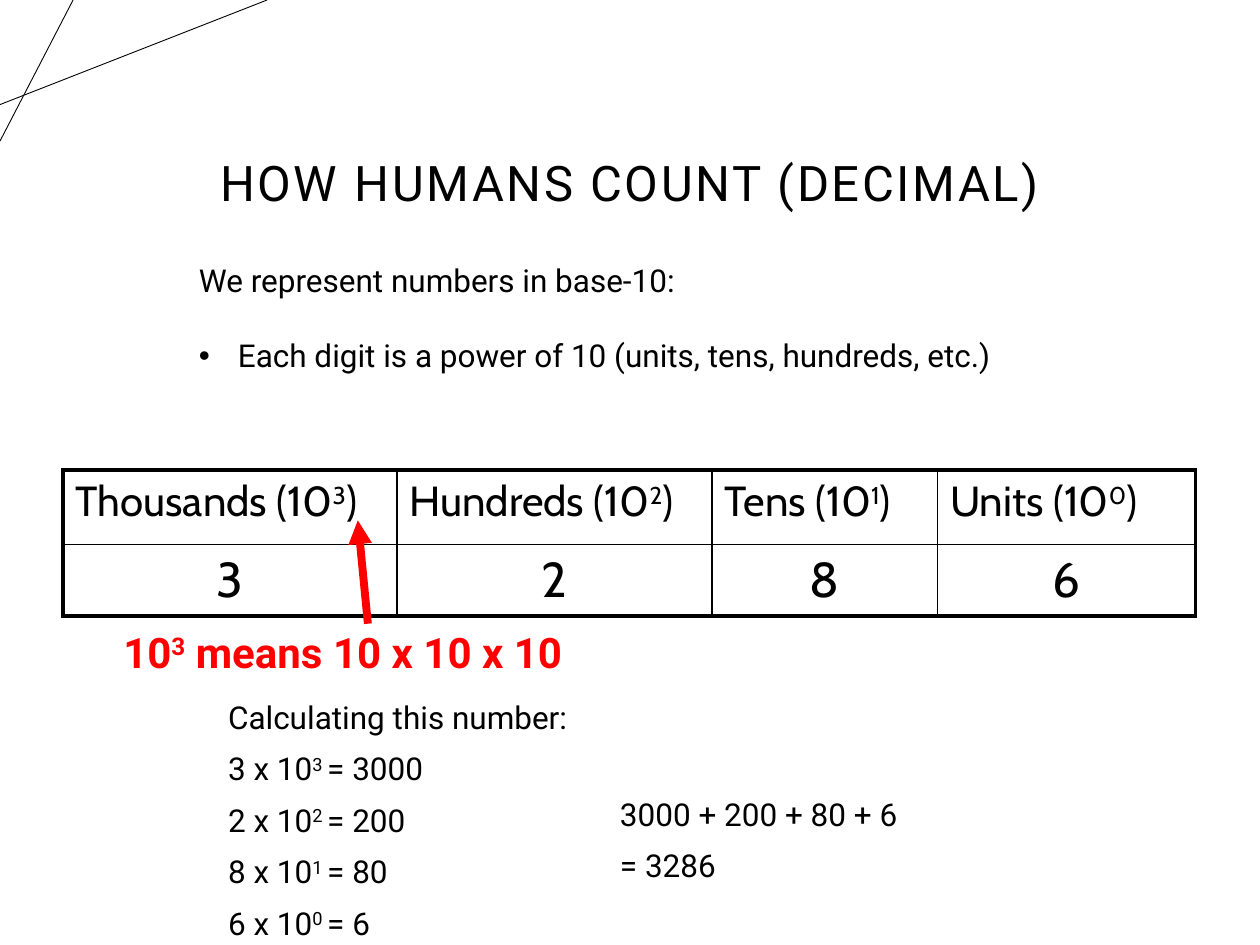
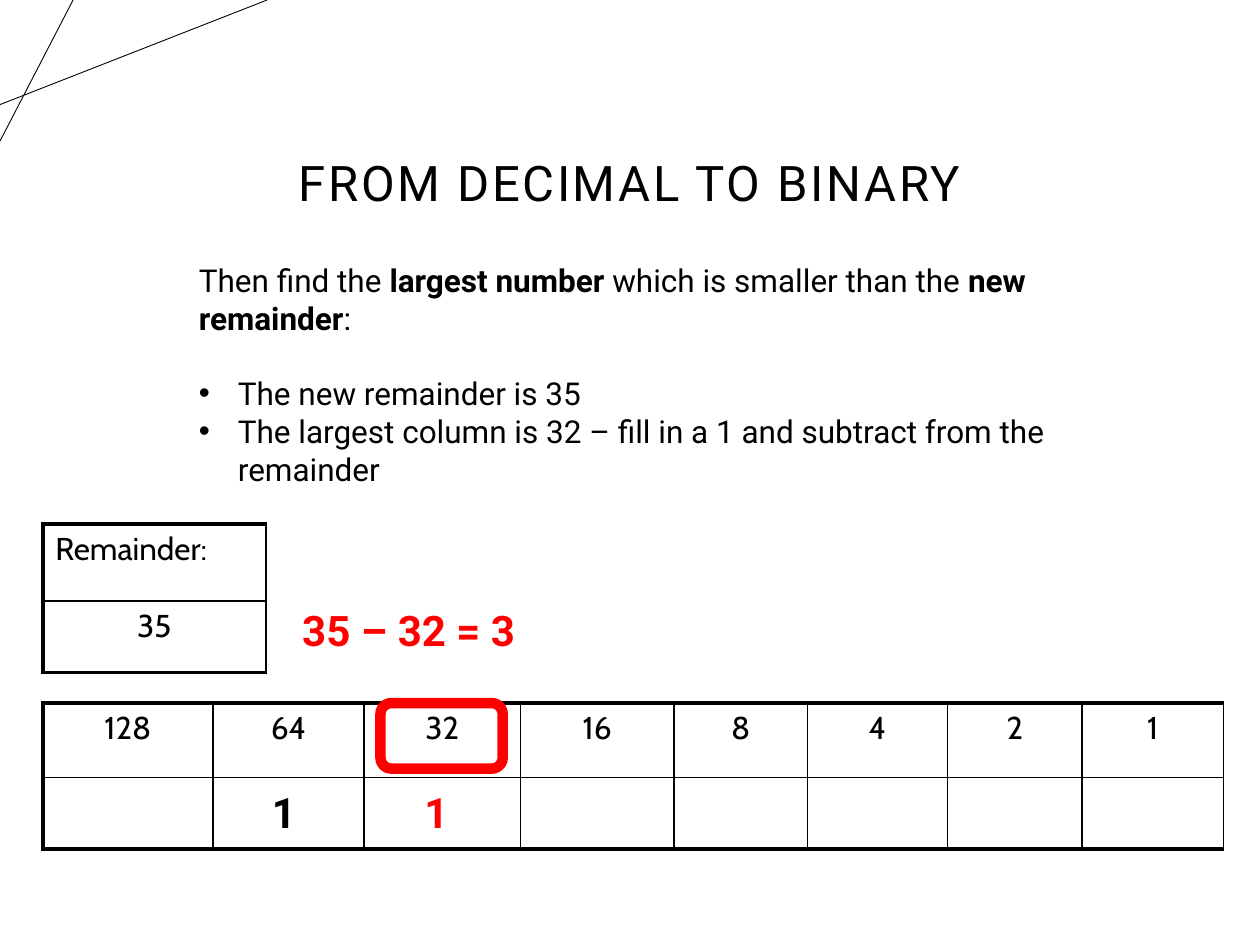
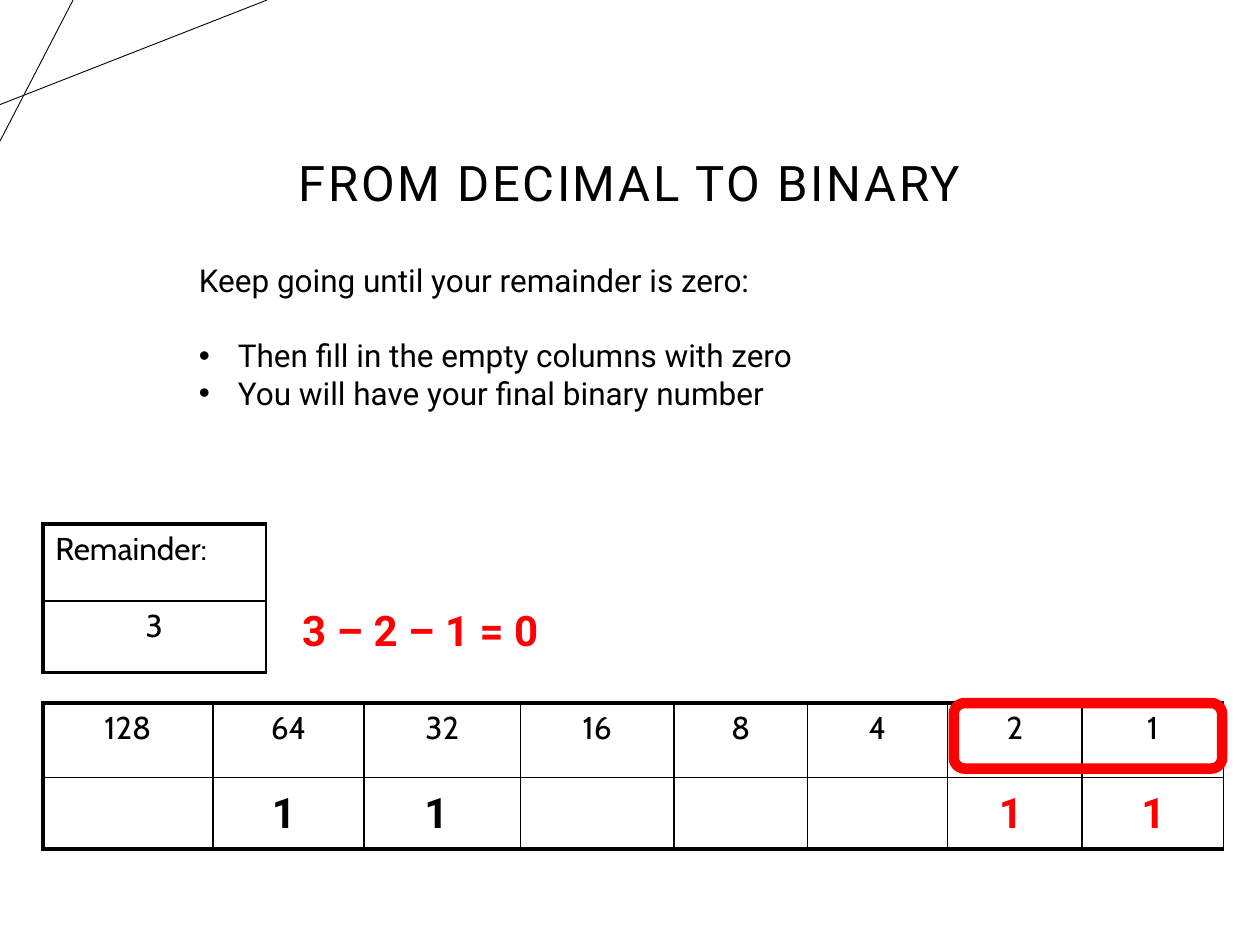
from dataclasses import dataclass
from typing import Any, NamedTuple, Sequence

import pptx
import pptx.dml.color
import pptx.enum.shapes
import pptx.enum.text
import pptx.oxml.ns
import pptx.util
from lxml import etree
from pptx.util import Inches

BLACK = "000000"
RED = "FF0000"
TEXT_FONT = "Roboto"
TABLE_FONT = "Cabin"
THIN, THICK = 1, 2.25
BLANK_LAYOUT = 6
LEFT = pptx.enum.text.PP_ALIGN.LEFT
CENTER = pptx.enum.text.PP_ALIGN.CENTER


class Span(NamedTuple):
    text: str
    bold: bool = False
    raised: bool = False


class Area(NamedTuple):
    left: float
    top: float
    width: float
    height: float


class Segment(NamedTuple):
    start: tuple[float, float]
    end: tuple[float, float]
    color: str = BLACK
    weight: float = 0.5
    arrow: bool = False


@dataclass(frozen=True)
class Style:
    size: float = 18
    font: str = TEXT_FONT
    color: str = BLACK
    bold: bool = False
    align: Any = LEFT
    line_spacing: float = 1.0
    space_before: float = 0
    tracking: float = 0


class Para(NamedTuple):
    spans: Sequence[Span]
    bullet: bool = False
    space_before: float = 0


class Grid(NamedTuple):
    left: float
    top: float
    columns: Sequence[float]
    rows: Sequence[float]
    right_border: float = THIN


class Mark(NamedTuple):
    left: float
    width: float
    color: str = BLACK


class Step(NamedTuple):
    intro: Sequence[Span]
    bullets: Sequence[str]
    remainder: str
    subtraction: str
    ring: Area
    marks: Sequence[Mark]


TITLE = Style(size=28, align=CENTER, line_spacing=0.9, tracking=1.5)
BODY = Style()
WORKING = Style(line_spacing=0.9, space_before=10)
CALLOUT = Style(size=24, color=RED, bold=True)
HEADING_CELL = Style(size=24, font=TABLE_FONT)
DIGIT_CELL = Style(size=28, font=TABLE_FONT, align=CENTER)
LABEL_CELL = Style(font=TABLE_FONT)
VALUE_CELL = Style(font=TABLE_FONT, align=CENTER)

CORNER_LINES = (Segment((0, 0.83), (2.12, 0)), Segment((0.58, 0), (0, 1.12)))
TITLE_AREA = Area(0.69, 0.75, 8.62, 1.45)
BULLET_GAP = 21.6
BULLET_INDENT = 0.31
MARK_TOP, MARK_HEIGHT = 6.19, 0.5

DECIMAL_GRID = Grid(0.5, 3.73, (2.65, 2.5, 1.79, 2.05), (0.59, 0.57), THICK)
BINARY_GRID = Grid(0.34, 5.58, (1.35, 1.2, 1.24, 1.22, 1.06, 1.11, 1.07, 1.12), (0.59, 0.57))
REMAINDER_GRID = Grid(0.34, 4.16, (1.77,), (0.61, 0.57))

PLACES = (("Thousands", 3), ("Hundreds", 2), ("Tens", 1), ("Units", 0))
DIGITS = (3, 2, 8, 6)

STEPS = (
    Step(
        intro=(
            Span("Then find the "),
            Span("largest number ", bold=True),
            Span("which is smaller than the "),
            Span("new remainder", bold=True),
            Span(":"),
        ),
        bullets=(
            "The new remainder is 35",
            "The largest column is 32 – fill in a 1 and subtract from the remainder",
        ),
        remainder="35",
        subtraction="35 – 32 = 3",
        ring=Area(3.02, 5.58, 0.97, 0.52),
        marks=(Mark(2.06, 0.32), Mark(3.27, 0.32, RED)),
    ),
    Step(
        intro=(Span("Keep going until your remainder is zero:"),),
        bullets=(
            "Then fill in the empty columns with zero",
            "You will have your final binary number",
        ),
        remainder="3",
        subtraction="3 – 2 – 1 = 0",
        ring=Area(7.57, 5.58, 2.13, 0.52),
        marks=(Mark(2.06, 0.32), Mark(3.27, 0.32), Mark(7.83, 0.7, RED), Mark(8.96, 0.7, RED)),
    ),
)


def rgb(color: str) -> pptx.dml.color.RGBColor:
    return pptx.dml.color.RGBColor.from_string(color)


def add_element(parent: Any, tag: str, **attributes: str) -> Any:
    return etree.SubElement(parent, pptx.oxml.ns.qn(tag), attributes)


def plain(text: str) -> Para:
    return Para((Span(text),))


def write(frame: Any, paras: Sequence[Para], style: Style) -> None:
    for index, content in enumerate(paras):
        para = frame.paragraphs[0] if index == 0 else frame.add_paragraph()
        para.alignment = style.align
        para.line_spacing = style.line_spacing
        if index:
            para.space_before = pptx.util.Pt(content.space_before or style.space_before)
        if content.bullet:
            properties = para._p.get_or_add_pPr()
            properties.set("marL", str(Inches(BULLET_INDENT)))
            properties.set("indent", str(Inches(-BULLET_INDENT)))
            add_element(properties, "a:buFont", typeface="Arial")
            add_element(properties, "a:buChar", char="•")
        for span in content.spans:
            run = para.add_run()
            run.text = span.text
            run.font.size = pptx.util.Pt(style.size)
            run.font.name = style.font
            run.font.bold = style.bold or span.bold
            run.font.color.rgb = rgb(style.color)
            if span.raised:
                run._r.get_or_add_rPr().set("baseline", "30000")
            if style.tracking:
                run._r.get_or_add_rPr().set("spc", str(int(style.tracking * 100)))


def add_text(page: Any, area: Area, paras: Sequence[Para], style: Style, inset: bool = True) -> Any:
    box = page.shapes.add_textbox(*map(Inches, area))
    frame = box.text_frame
    frame.word_wrap = True
    if not inset:
        frame.margin_left = frame.margin_top = frame.margin_right = frame.margin_bottom = 0
    write(frame, paras, style)
    return box


def add_segment(page: Any, segment: Segment) -> None:
    connector = page.shapes.add_connector(
        pptx.enum.shapes.MSO_CONNECTOR.STRAIGHT, *map(Inches, segment.start + segment.end)
    )
    connector.line.color.rgb = rgb(segment.color)
    connector.line.width = pptx.util.Pt(segment.weight)
    if segment.arrow:
        add_element(connector.line._get_or_add_ln(), "a:tailEnd", type="triangle")
    add_element(connector._element.spPr, "a:effectLst")


def add_border(cell: Any, side: str, weight: float) -> None:
    line = add_element(cell._tc.get_or_add_tcPr(), f"a:ln{side}", w=str(pptx.util.Pt(weight)))
    add_element(add_element(line, "a:solidFill"), "a:srgbClr", val=BLACK)


def add_grid(
    page: Any, grid: Grid, rows: Sequence[Sequence[Para]], styles: Sequence[Style]
) -> None:
    area = Area(grid.left, grid.top, sum(grid.columns), sum(grid.rows))
    table = page.shapes.add_table(len(grid.rows), len(grid.columns), *map(Inches, area)).table
    table.first_row = table.horz_banding = False
    for column, width in zip(table.columns, grid.columns):
        column.width = Inches(width)
    last_row, last_column = len(grid.rows) - 1, len(grid.columns) - 1
    for r, height in enumerate(grid.rows):
        table.rows[r].height = Inches(height)
        for c in range(len(grid.columns)):
            cell = table.cell(r, c)
            cell.margin_left = cell.margin_right = Inches(0.1)
            cell.margin_top = cell.margin_bottom = Inches(0.05)
            add_border(cell, "L", THICK if c == 0 else THIN)
            add_border(cell, "R", grid.right_border if c == last_column else THIN)
            add_border(cell, "T", THICK if r == 0 else THIN)
            add_border(cell, "B", THICK if r == last_row else THIN)
            cell.fill.background()
            if r < len(rows):
                write(cell.text_frame, [rows[r][c]], styles[r])


def add_ring(page: Any, area: Area) -> None:
    ring = page.shapes.add_shape(
        pptx.enum.shapes.MSO_SHAPE.ROUNDED_RECTANGLE, *map(Inches, area)
    )
    ring.shadow.inherit = False
    ring.fill.background()
    ring.line.color.rgb = rgb(RED)
    ring.line.width = pptx.util.Pt(6)


def add_page(deck: Any, title: str) -> Any:
    page = deck.slides.add_slide(deck.slide_layouts[BLANK_LAYOUT])
    for segment in CORNER_LINES:
        add_segment(page, segment)
    box = add_text(page, TITLE_AREA, [plain(title)], TITLE)
    box.text_frame.vertical_anchor = pptx.enum.text.MSO_ANCHOR.MIDDLE
    return page


def add_explanation(
    page: Any, height: float, intro: Sequence[Span], bullets: Sequence[str]
) -> None:
    paras = [Para(intro)]
    for index, bullet in enumerate(bullets):
        paras.append(Para((Span(bullet),), True, 0 if index else BULLET_GAP))
    add_text(page, Area(1.48, 2.02, 7.15, height), paras, BODY)


def add_decimal_page(deck: Any) -> None:
    page = add_page(deck, "HOW HUMANS COUNT (DECIMAL)")
    add_explanation(
        page,
        1.01,
        (Span("We represent numbers in base-10:"),),
        ("Each digit is a power of 10 (units, tens, hundreds, etc.)",),
    )
    headings = [
        Para((Span(f"{place} (10"), Span(str(power), raised=True), Span(")")))
        for place, power in PLACES
    ]
    digits = [plain(str(digit)) for digit in DIGITS]
    add_grid(page, DECIMAL_GRID, (headings, digits), (HEADING_CELL, DIGIT_CELL))
    products = [
        Para((
            Span(f"{digit} x 10"),
            Span(f"{power} ", raised=True),
            Span(f"= {digit * 10 ** power}"),
        ))
        for digit, (_, power) in zip(DIGITS, PLACES)
    ]
    working = [plain("Calculating this number:"), *products]
    add_text(page, Area(1.81, 5.57, 4.72, 1.96), working, WORKING, inset=False)
    total = [plain("3000 + 200 + 80 + 6"), plain("= 3286")]
    add_text(page, Area(4.92, 6.34, 4.72, 1.16), total, WORKING, inset=False)
    meaning = Para((Span("10"), Span("3", raised=True), Span(" means 10 x 10 x 10")))
    add_text(page, Area(0.88, 4.92, 4.09, 0.5), [meaning], CALLOUT)
    add_segment(page, Segment((2.92, 4.95), (2.84, 4.13), RED, 4.5, arrow=True))


def add_binary_page(deck: Any, step: Step) -> None:
    page = add_page(deck, "FROM DECIMAL TO BINARY")
    add_explanation(page, 1.92 if len(step.intro) > 1 else 1.31, step.intro, step.bullets)
    count = len(BINARY_GRID.columns)
    powers = [plain(str(2 ** power)) for power in reversed(range(count))]
    add_grid(page, BINARY_GRID, (powers,), (VALUE_CELL,))
    add_grid(
        page,
        REMAINDER_GRID,
        ([plain("Remainder:")], [plain(step.remainder)]),
        (LABEL_CELL, VALUE_CELL),
    )
    add_text(page, Area(2.3, 4.75, 3.81, 0.5), [plain(step.subtraction)], CALLOUT)
    add_ring(page, step.ring)
    for mark in step.marks:
        area = Area(mark.left, MARK_TOP, mark.width, MARK_HEIGHT)
        add_text(page, area, [plain("1")], Style(size=24, color=mark.color, bold=True))


def main() -> None:
    deck = pptx.Presentation()
    deck.slide_width, deck.slide_height = Inches(10), Inches(7.5)
    add_decimal_page(deck)
    for step in STEPS:
        add_binary_page(deck, step)
    deck.save("out.pptx")


if __name__ == "__main__":
    main()
